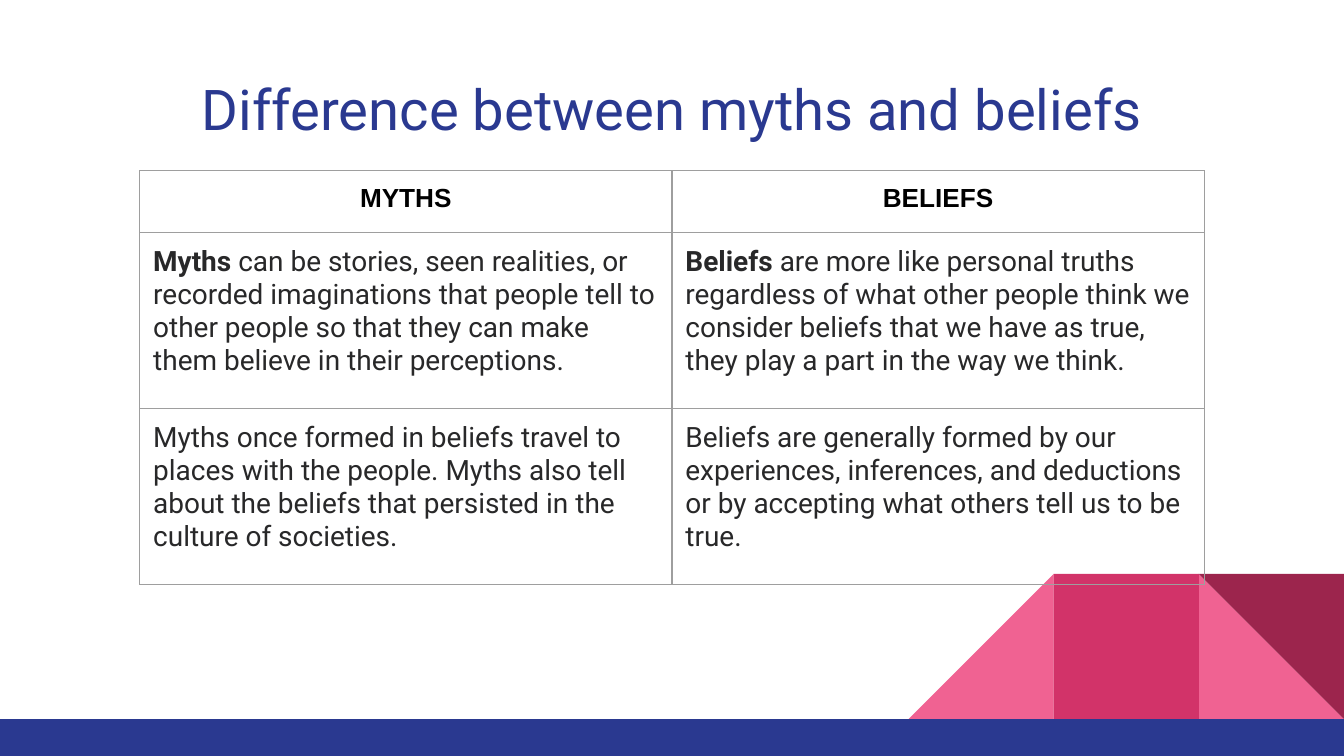
from lxml.etree import SubElement
from pptx import Presentation
from pptx.dml.color import RGBColor
from pptx.enum.shapes import MSO_SHAPE
from pptx.enum.text import PP_ALIGN
from pptx.oxml.ns import qn
from pptx.util import Inches, Pt

COLORS = {"navy": "2A3990", "pink": "F06292", "rose": "D23369", "wine": "9C254D",
          "black": "000000", "ink": "282829", "line": "9E9E9E"}
ROWS = [
    [("MYTHS", ""), ("BELIEFS", "")],
    [("Myths", " can be stories, seen realities, or recorded imaginations that people "
      "tell to other people so that they can make them believe in their perceptions."),
     ("Beliefs", " are more like personal truths regardless of what other people think we "
      "consider beliefs that we have as true, they play a part in the way we think.")],
    [("", "Myths once formed in beliefs travel to places with the people. Myths also tell "
      "about the beliefs that persisted in the culture of societies."),
     ("", "Beliefs are generally formed by our experiences, inferences, and deductions "
      "or by accepting what others tell us to be true.")],
]


def tint(name):
    """Return the named colour."""
    return RGBColor.from_string(COLORS[name])


def style(para, font, size, color):
    """Set the font of a paragraph."""
    para.font.name = font
    para.font.size = Pt(size)
    para.font.color.rgb = tint(color)


def add_block(slide, kind, box, color, turn=0):
    """Add a plain filled shape."""
    shape = slide.shapes.add_shape(kind, *map(Inches, box))
    shape.shadow.inherit = False
    shape.fill.solid()
    shape.fill.fore_color.rgb = tint(color)
    shape.line.fill.background()
    shape.rotation = turn


def add_decor(slide, left, top, side):
    """Draw the three corner tiles and the bottom band."""
    wedge = MSO_SHAPE.RIGHT_TRIANGLE
    tiles = [(2, wedge, "pink", 0), (0, wedge, "pink", 270),
             (1, MSO_SHAPE.RECTANGLE, "rose", 0), (2, wedge, "wine", 180)]
    for step, kind, color, turn in tiles:
        add_block(slide, kind, (left + step * side, top, side, side), color, turn)
    add_block(slide, MSO_SHAPE.RECTANGLE, (0, top + side, 10, 0.28), "navy")


def add_title(slide, box, text):
    """Add the centred heading."""
    frame = slide.shapes.add_textbox(*map(Inches, box)).text_frame
    frame.word_wrap = True
    frame.margin_left = frame.margin_right = Inches(0.1)
    frame.margin_top = frame.margin_bottom = Inches(0.1)
    para = frame.paragraphs[0]
    para.text = text
    para.alignment = PP_ALIGN.CENTER
    style(para, "Roboto", 30.1, "navy")


def add_edges(cell):
    """Draw a thin line on each side of a cell."""
    props = cell._tc.get_or_add_tcPr()
    for spot, side in enumerate(("lnL", "lnR", "lnT", "lnB")):
        line = SubElement(props, qn(f"a:{side}"), w=str(Pt(0.75)))
        fill = SubElement(line, qn("a:solidFill"))
        SubElement(fill, qn("a:srgbClr"), val=COLORS["line"])
        props.insert(spot, line)


def fill_cell(cell, lead, rest, head):
    """Write a cell with a bold lead and plain rest."""
    cell.fill.background()
    cell.margin_left = cell.margin_right = Inches(0.1)
    cell.margin_top = cell.margin_bottom = Inches(0.1)
    para = cell.text_frame.paragraphs[0]
    for text, bold in ((lead, True), (rest, False)):
        if text:
            run = para.add_run()
            run.text = text
            run.font.bold = bold
    if head:
        para.alignment = PP_ALIGN.CENTER
        style(para, "Arial", 14, "black")
    else:
        style(para, "Roboto", 15, "ink")
    add_edges(cell)


def add_grid(slide, left, top, width, heights):
    """Add the comparison table."""
    box = map(Inches, (left, top, width, sum(heights)))
    table = slide.shapes.add_table(len(ROWS), len(ROWS[0]), *box).table
    table.first_row = table.horz_banding = False
    for row, (height, pairs) in enumerate(zip(heights, ROWS)):
        table.rows[row].height = Inches(height)
        for col, (lead, rest) in enumerate(pairs):
            fill_cell(table.cell(row, col), lead, rest, row == 0)


def main():
    """Build and save the slide."""
    deck = Presentation()
    deck.slide_width, deck.slide_height = Inches(10), Inches(5.625)
    slide = deck.slides.add_slide(deck.slide_layouts[6])
    add_decor(slide, 6.76, 4.27, 1.08)
    add_title(slide, (0.34, 0.45, 9.32, 0.66), "Difference between myths and beliefs")
    add_grid(slide, 1.04, 1.27, 7.92, (0.46, 1.31, 1.31))
    deck.save("out.pptx")


if __name__ == "__main__":
    main()
